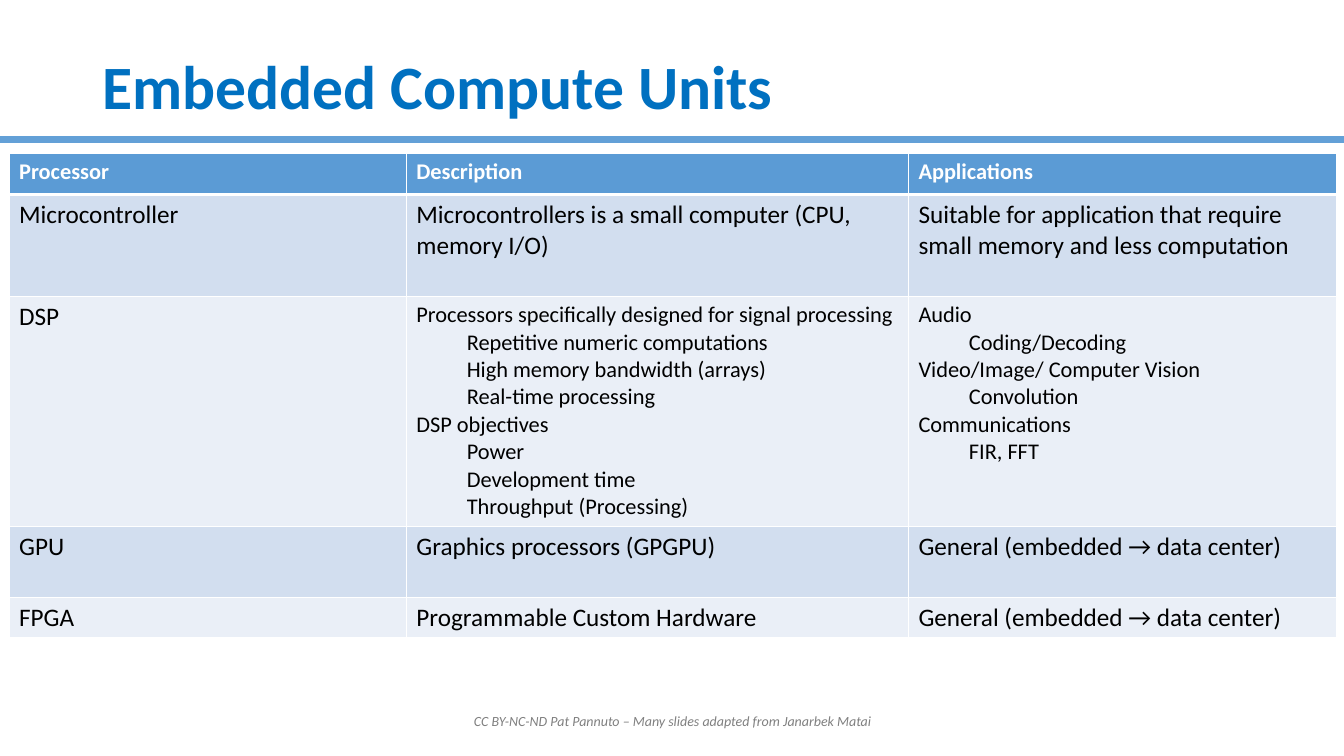
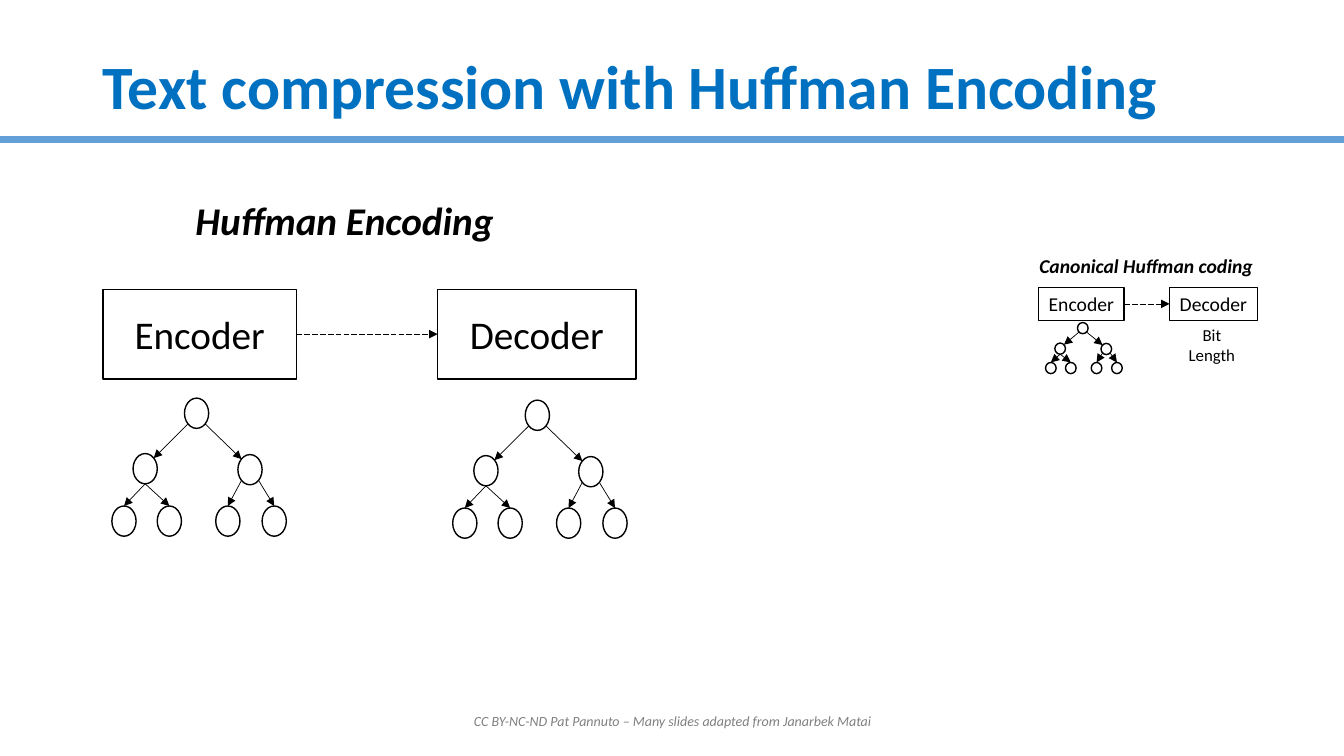
from lxml import etree
from pptx import Presentation
from pptx.dml.color import RGBColor
from pptx.enum import dml, shapes, text
from pptx.oxml.ns import qn
from pptx.util import Emu, Inches, Pt

FONT = "Calibri"
TITLE_BLUE = RGBColor(0x00, 0x70, 0xC0)
BAND_BLUE = RGBColor(0x63, 0xA0, 0xD7)
HEADER_BLUE = RGBColor(0x5B, 0x9B, 0xD5)
ROW_TINTS = RGBColor(0xD2, 0xDE, 0xEF), RGBColor(0xEA, 0xEF, 0xF7)
BLACK = RGBColor(0, 0, 0)
WHITE = RGBColor(255, 255, 255)
GREY = RGBColor(0x80, 0x80, 0x80)

FOOTER = "CC BY-NC-ND Pat Pannuto – Many slides adapted from Janarbek Matai"

COLUMNS = [("Processor", 3.94), ("Description", 4.98), ("Applications", 4.25)]
ROW_HEIGHTS = [0.41, 1.01, 2.28, 0.71, 0.4]
DSP_DESCRIPTION = [
    ("Processors specifically designed for signal processing",
     ["Repetitive numeric computations", "High memory bandwidth (arrays)", "Real-time processing"]),
    ("DSP objectives", ["Power", "Development time", "Throughput (Processing)"]),
]
DSP_APPLICATIONS = [
    ("Audio", ["Coding/Decoding"]),
    ("Video/Image/ Computer Vision", ["Convolution"]),
    ("Communications", ["FIR, FFT"]),
]
UNITS = [
    ("Microcontroller", "Microcontrollers is a small computer (CPU, memory I/O)",
     "Suitable for application that require small memory and less computation"),
    ("DSP", DSP_DESCRIPTION, DSP_APPLICATIONS),
    ("GPU", "Graphics processors (GPGPU)", "General (embedded → data center)"),
    ("FPGA", "Programmable Custom Hardware", "General (embedded → data center)"),
]

CODERS = [
    (28, ("Encoder", 1.02, 2.87, 1.92, 0.89), ("Decoder", 4.34, 2.87, 1.97, 0.89)),
    (14, ("Encoder", 10.3, 2.85, 0.85, 0.33), ("Decoder", 11.6, 2.85, 0.87, 0.33)),
]
LABELS = [
    (["Huffman Encoding"], (1.84, 1.9, 3.19, 0.57), 28, True),
    (["Canonical Huffman coding"], (10.21, 2.47, 2.39, 0.34), 14, True),
    (["Bit", "Length"], (11.69, 3.17, 0.66, 0.5), 12, False),
]
TREES = [(1.11, 3.95, 1, 1), (4.49, 3.97, 1, 1), (10.37, 3.2, 0.44, 0.37)]
NODE_WIDTH, NODE_HEIGHT = 0.24, 0.3
NODES = {
    "root": (0.72, 0), "left": (0.21, 0.55), "right": (1.25, 0.56),
    "leaf1": (0, 1.07), "leaf2": (0.45, 1.07), "leaf3": (1.03, 1.07), "leaf4": (1.49, 1.07),
}
SITES = {
    "top": (0.5, 0), "bottom": (0.5, 1), "top left": (0.15, 0.15),
    "top right": (0.85, 0.15), "bottom left": (0.15, 0.85), "bottom right": (0.85, 0.85),
}
EDGES = [
    ("root", "bottom left", "left", "top right"),
    ("root", "bottom right", "right", "top left"),
    ("left", "bottom", "leaf1", "top"),
    ("left", "bottom", "leaf2", "top"),
    ("right", "bottom left", "leaf3", "top"),
    ("right", "bottom right", "leaf4", "top"),
]


def set_font(para, size, color, bold=False, italic=False):
    font = para.font
    font.name, font.size, font.bold, font.italic = FONT, Pt(size), bold, italic
    font.color.rgb = color


def add_line(parent, start, end, color=BLACK, width=0.5, arrow=True, dash=None):
    line = parent.add_connector(
        shapes.MSO_CONNECTOR.STRAIGHT, *(Inches(value) for value in (*start, *end)))
    line.line.color.rgb = color
    line.line.width = Pt(width)
    if dash:
        line.line.dash_style = dash
    properties = line.element.spPr
    if arrow:
        etree.SubElement(properties.find(qn("a:ln")), qn("a:tailEnd"), type="triangle")
    etree.SubElement(properties, qn("a:effectLst"))
    return line


def add_outline(parent, kind, *place):
    shape = parent.add_shape(kind, *(Inches(value) for value in place))
    shape.shadow.inherit = False
    shape.fill.background()
    shape.line.color.rgb = BLACK
    shape.line.width = Pt(1)
    return shape


def add_text(page, lines, place, size, color=BLACK, bold=False, italic=False, centered=False,
             wrap=False):
    box = page.shapes.add_textbox(*(Inches(value) for value in place))
    frame = box.text_frame
    frame.word_wrap = wrap
    frame.text = "\n".join(lines)
    for para in frame.paragraphs:
        para.alignment = text.PP_ALIGN.CENTER if centered else text.PP_ALIGN.LEFT
        set_font(para, size, color, bold, italic)
    return box


def set_up_master(deck, page):
    master = deck.slide_master
    title = next(item for item in master.placeholders
                 if item.placeholder_format.type == shapes.PP_PLACEHOLDER.TITLE)
    title.left, title.top, title.width, title.height = (
        Inches(value) for value in (0.92, 0.4, 11.5, 0.98))
    band = add_line(page.shapes, (13.33, 1.38), (0, 1.38), BAND_BLUE, 5, arrow=False)
    band.element.nvCxnSpPr.cNvPr.set("id", "20")
    master.element.cSld.spTree.append(band.element)


def add_page(deck, title):
    page = deck.slides.add_slide(deck.slide_layouts[5])
    frame = page.shapes.title.text_frame
    frame.text = title
    frame.vertical_anchor = text.MSO_ANCHOR.MIDDLE
    para = frame.paragraphs[0]
    para.alignment = text.PP_ALIGN.LEFT
    para.line_spacing = 0.9
    set_font(para, 44, TITLE_BLUE, bold=True)
    footer = add_text(page, [FOOTER], (4.42, 6.95, 4.5, 0.4), 10, GREY,
                      italic=True, centered=True, wrap=True)
    footer.text_frame.vertical_anchor = text.MSO_ANCHOR.MIDDLE
    return page


def set_borders(cell, widths):
    properties = cell._tc.get_or_add_tcPr()
    for index, (side, width) in enumerate(widths.items()):
        border = etree.Element(qn(f"a:ln{side}"), w=str(Pt(width)))
        fill = etree.SubElement(border, qn("a:solidFill"))
        etree.SubElement(fill, qn("a:srgbClr"), val=str(WHITE))
        properties.insert(index, border)


def fill_cell(cell, content, row):
    if isinstance(content, str):
        lines, size = [(content, 0)], 18 if row else 16
    else:
        lines, size = [], 16
        for heading, details in content:
            lines += [(heading, 0)] + [(detail, 1) for detail in details]
    frame = cell.text_frame
    frame.text = "\n".join(line for line, level in lines)
    for para, (line, level) in zip(frame.paragraphs, lines):
        if level:
            para.level = level
            para._p.get_or_add_pPr().set("marL", str(Inches(0.5)))
        set_font(para, size, BLACK if row else WHITE, bold=not row)
    cell.fill.solid()
    cell.fill.fore_color.rgb = ROW_TINTS[(row - 1) % 2] if row else HEADER_BLUE
    set_borders(cell, {"L": 1, "R": 1, "T": 3 if row == 1 else 1, "B": 1 if row else 3})


def add_units_table(page):
    rows = [[name for name, width in COLUMNS], *UNITS]
    table = page.shapes.add_table(
        len(rows), len(COLUMNS), Inches(0.09), Inches(1.52),
        Inches(sum(width for name, width in COLUMNS)), Inches(sum(ROW_HEIGHTS))).table
    for column, (name, width) in zip(table.columns, COLUMNS):
        column.width = Inches(width)
    for index, (height, contents) in enumerate(zip(ROW_HEIGHTS, rows)):
        table.rows[index].height = Inches(height)
        for cell, content in zip(table.rows[index].cells, contents):
            fill_cell(cell, content, index)


def add_coder_pair(page, size, *coders):
    boxes = []
    for name, *place in coders:
        box = add_outline(page.shapes, shapes.MSO_SHAPE.RECTANGLE, *place)
        box.text_frame.text = name
        box.text_frame.vertical_anchor = text.MSO_ANCHOR.MIDDLE
        para = box.text_frame.paragraphs[0]
        para.alignment = text.PP_ALIGN.CENTER
        set_font(para, size, BLACK)
        boxes.append(box)
    link = add_line(page.shapes, (0, 0), (1, 1), dash=dml.MSO_LINE.LONG_DASH)
    link.begin_connect(boxes[0], 3)
    link.end_connect(boxes[1], 1)


def add_tree(page, left, top, scale_x, scale_y):
    group = page.shapes.add_group_shape().shapes

    def locate(node, site=(0, 0)):
        x, y = NODES[node]
        return (left + scale_x * (x + NODE_WIDTH * site[0]),
                top + scale_y * (y + NODE_HEIGHT * site[1]))

    for node in NODES:
        add_outline(group, shapes.MSO_SHAPE.OVAL, *locate(node),
                    NODE_WIDTH * scale_x, NODE_HEIGHT * scale_y)
    for parent, leaving, child, entering in EDGES:
        add_line(group, locate(parent, SITES[leaving]), locate(child, SITES[entering]))


def main():
    deck = Presentation()
    deck.slide_width, deck.slide_height = Inches(13.33), Inches(7.5)

    page = add_page(deck, "Embedded Compute Units")
    set_up_master(deck, page)
    add_units_table(page)

    page = add_page(deck, "Text compression with Huffman Encoding")
    for pair in CODERS:
        add_coder_pair(page, *pair)
    for tree in TREES:
        add_tree(page, *tree)
    for lines, place, size, heading in LABELS:
        add_text(page, lines, place, size, bold=heading, italic=heading, centered=not heading)

    deck.save("out.pptx")


if __name__ == "__main__":
    main()
